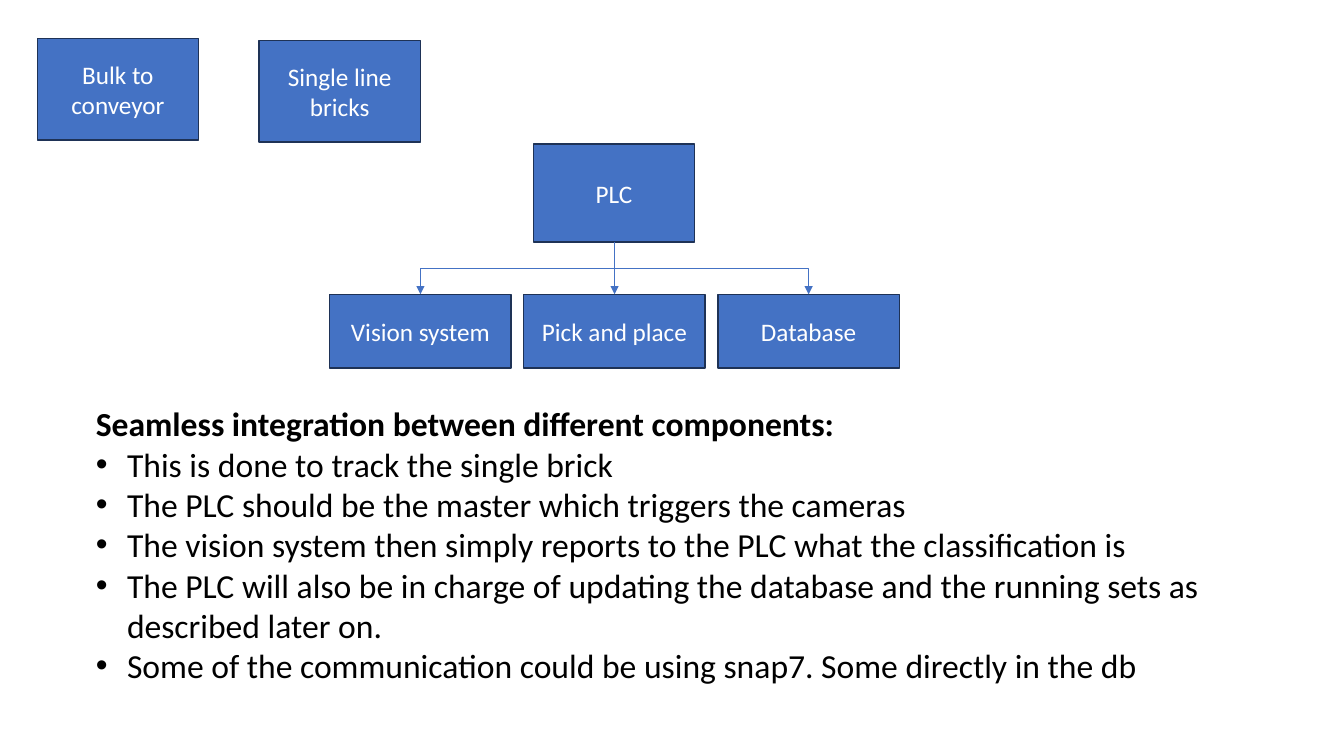
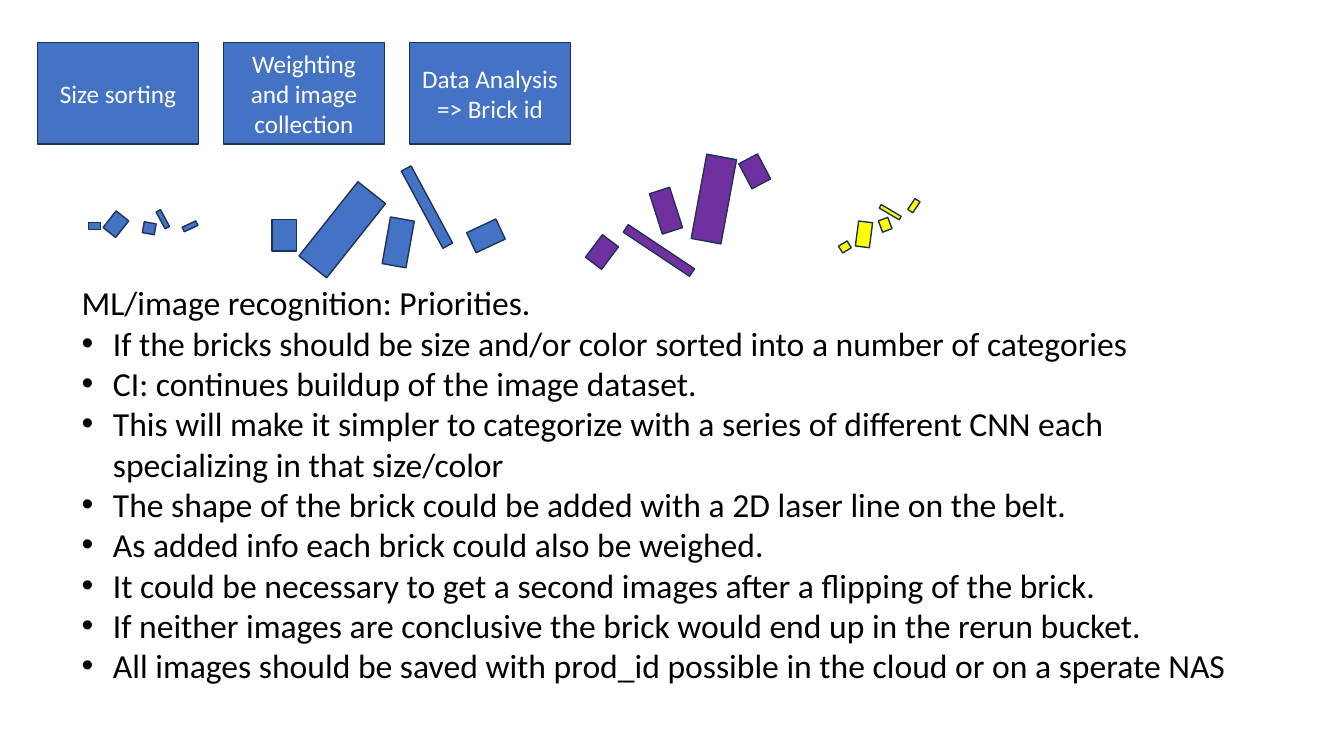
from lxml import etree
from pptx import Presentation
from pptx.dml.color import RGBColor
from pptx.enum.shapes import MSO_CONNECTOR, MSO_SHAPE
from pptx.enum.text import MSO_ANCHOR, MSO_AUTO_SIZE, PP_ALIGN
from pptx.oxml.ns import qn
from pptx.util import Inches, Pt

RECTANGLE = MSO_SHAPE.RECTANGLE
ELBOW = MSO_CONNECTOR.ELBOW
LEFT, CENTER = PP_ALIGN.LEFT, PP_ALIGN.CENTER
TOP, MIDDLE = MSO_ANCHOR.TOP, MSO_ANCHOR.MIDDLE
NO_FIT = MSO_AUTO_SIZE.NONE

FONT = "Calibri"
COLORS = {
    "blue": "4472C4",
    "outline": "1E3256",
    "purple": "7030A0",
    "yellow": "FFFF00",
    "white": "FFFFFF",
    "black": "000000",
}
TITLE_HEIGHT = 0.45
INDENT = 0.31
STEP_SIZE = (1.6, 1.01)
PART_SIZE = (1.8, 0.73)

INTEGRATION = {
    "title": "Seamless integration between different components:",
    "bold": True,
    "area": (0.85, 3.95, 11.73, 3.33),
    "points": [
        "This is done to track the single brick",
        "The PLC should be the master which triggers the cameras",
        "The vision system then simply reports to the PLC what the classification is",
        "The PLC will also be in charge of updating the database and the running sets "
        "as described later on.",
        "Some of the communication could be using snap7. Some directly in the db",
    ],
    "steps": [("Bulk to conveyor", 0.37, 0.38), ("Single line bricks", 2.57, 0.4)],
}
CONTROLLER = ("PLC", 5.29, 1.43, 1.6, 0.97)
PARTS = ["Vision system", "Pick and place", "Database"]
PARTS_LEFT, PARTS_TOP, PARTS_PITCH = 3.27, 2.92, 1.925

RECOGNITION = {
    "title": "ML/image recognition: Priorities.",
    "bold": False,
    "area": (0.71, 2.75, 11.68, 4.14),
    "points": [
        "If the bricks should be size and/or color sorted into a number of categories",
        "CI: continues buildup of the image dataset.",
        "This will make it simpler to categorize with a series of different CNN each "
        "specializing in that size/color",
        "The shape of the brick could be added with a 2D laser line on the belt.",
        "As added info each brick could also be weighed.",
        "It could be necessary to get a second images after a flipping of the brick.",
        "If neither images are conclusive the brick would end up in the rerun bucket.",
        "All images should be saved with prod_id possible in the cloud or on a sperate NAS",
    ],
    "steps": [
        (text, 0.37 + 1.845 * index, 0.42)
        for index, text in enumerate(
            ["Size sorting", "Weighting and image collection", "Data Analysis => Brick id"]
        )
    ],
}
BRICK_GROUPS = [
    ("blue", [
        (0.88, 2.21, 0.12, 0.07, 0),
        (1.07, 2.12, 0.16, 0.21, 38.4),
        (1.59, 2.08, 0.05, 0.19, 331.7),
        (1.42, 2.21, 0.12, 0.11, 10.1),
        (1.81, 2.22, 0.15, 0.05, 334.9),
    ]),
    ("blue", [
        (2.7, 2.18, 0.24, 0.31, 0),
        (3.22, 1.81, 0.35, 0.94, 38.4),
        (4.18, 1.62, 0.11, 0.87, 331.7),
        (3.83, 2.17, 0.24, 0.47, 10.1),
        (4.66, 2.23, 0.32, 0.22, 334.9),
    ]),
    ("purple", [
        (7.38, 1.56, 0.21, 0.28, 152.1),
        (6.93, 1.55, 0.3, 0.85, 190.5),
        (6.49, 2.09, 0.09, 0.79, 123.7),
        (6.5, 1.88, 0.21, 0.42, 162.2),
        (5.83, 2.4, 0.28, 0.2, 127),
    ]),
    ("yellow", [
        (8.33, 2.41, 0.1, 0.08, 328.9),
        (8.5, 2.2, 0.14, 0.25, 7.4),
        (8.81, 1.99, 0.04, 0.23, 300.6),
        (8.73, 2.17, 0.1, 0.12, 339),
        (9, 2.01, 0.13, 0.06, 303.9),
    ]),
]


def color(name):
    return RGBColor.from_string(COLORS[name])


def write(shape, lines, size=24, ink="black", bold=False, align=LEFT, anchor=TOP, bullet=False):
    frame = shape.text_frame
    frame.text = "\n".join(lines)
    frame.word_wrap = True
    frame.auto_size = NO_FIT
    frame.vertical_anchor = anchor
    for paragraph in frame.paragraphs:
        paragraph.alignment = align
        paragraph.space_before = Pt(0)
        font = paragraph.runs[0].font
        font.name, font.size, font.bold = FONT, Pt(size), bold
        font.color.rgb = color(ink)
        if bullet:
            properties = paragraph._p.get_or_add_pPr()
            properties.set("marL", str(Inches(INDENT)))
            properties.set("indent", str(-Inches(INDENT)))
            etree.SubElement(properties, qn("a:buFont")).set("typeface", "Arial")
            etree.SubElement(properties, qn("a:buChar")).set("char", "•")


def place(shape, left, top, width, height):
    shape.left, shape.top = Inches(left), Inches(top)
    shape.width, shape.height = Inches(width), Inches(height)


def add_rectangle(shapes, left, top, width, height, fill="blue", rotation=0):
    shape = shapes.add_shape(
        RECTANGLE, Inches(left), Inches(top), Inches(width), Inches(height)
    )
    shape.shadow.inherit = False
    shape.fill.solid()
    shape.fill.fore_color.rgb = color(fill)
    shape.line.color.rgb = color("outline")
    shape.line.width = Pt(1)
    shape.rotation = rotation
    return shape


def add_box(slide, text, *area):
    box = add_rectangle(slide.shapes, *area)
    write(box, [text], size=18, ink="white", align=CENTER, anchor=MIDDLE)
    return box


def add_arrow(slide, parent, child):
    start_x, start_y = parent.left + parent.width // 2, parent.top + parent.height
    end_x, end_y = child.left + child.width // 2, child.top
    arrow = slide.shapes.add_connector(ELBOW, start_x, start_y, end_x, end_y)
    arrow.begin_connect(parent, 2)
    arrow.end_connect(child, 0)
    middle_x, middle_y = (start_x + end_x) // 2, (start_y + end_y) // 2
    half_drop, half_span = (end_y - start_y) // 2, abs(end_x - start_x) // 2
    side = 1 if end_x > start_x else -1
    arrow.begin_x, arrow.end_x = middle_x + side * half_drop, middle_x - side * half_drop
    arrow.begin_y, arrow.end_y = middle_y - half_span, middle_y + half_span
    arrow.rotation = 270 if side > 0 else 90
    arrow.line.color.rgb = color("blue")
    arrow.line.width = Pt(0.5)
    properties = arrow._element.spPr
    etree.SubElement(properties.find(qn("a:ln")), qn("a:tailEnd")).set("type", "triangle")
    etree.SubElement(properties, qn("a:effectLst"))


def add_content_slide(presentation, content):
    slide = presentation.slides.add_slide(presentation.slide_layouts[1])
    left, top, width, height = content["area"]
    title, body = slide.shapes.title, slide.placeholders[1]
    place(title, left, top, width, TITLE_HEIGHT)
    place(body, left, top + TITLE_HEIGHT, width, height - TITLE_HEIGHT)
    write(title, [content["title"]], bold=content["bold"])
    write(body, content["points"], bullet=True)
    title.text_frame.margin_bottom = body.text_frame.margin_top = 0
    for text, step_left, step_top in content["steps"]:
        add_box(slide, text, step_left, step_top, *STEP_SIZE)
    return slide


def add_control_tree(slide):
    controller = add_box(slide, *CONTROLLER)
    for index, text in enumerate(PARTS):
        part = add_box(slide, text, PARTS_LEFT + PARTS_PITCH * index, PARTS_TOP, *PART_SIZE)
        add_arrow(slide, controller, part)


def add_bricks(slide):
    for fill, bricks in BRICK_GROUPS:
        group = slide.shapes.add_group_shape()
        for *area, rotation in bricks:
            add_rectangle(group.shapes, *area, fill=fill, rotation=rotation)


def main():
    presentation = Presentation()
    presentation.slide_width, presentation.slide_height = Inches(13.33), Inches(7.5)
    add_control_tree(add_content_slide(presentation, INTEGRATION))
    add_bricks(add_content_slide(presentation, RECOGNITION))
    presentation.save("out.pptx")


if __name__ == "__main__":
    main()
